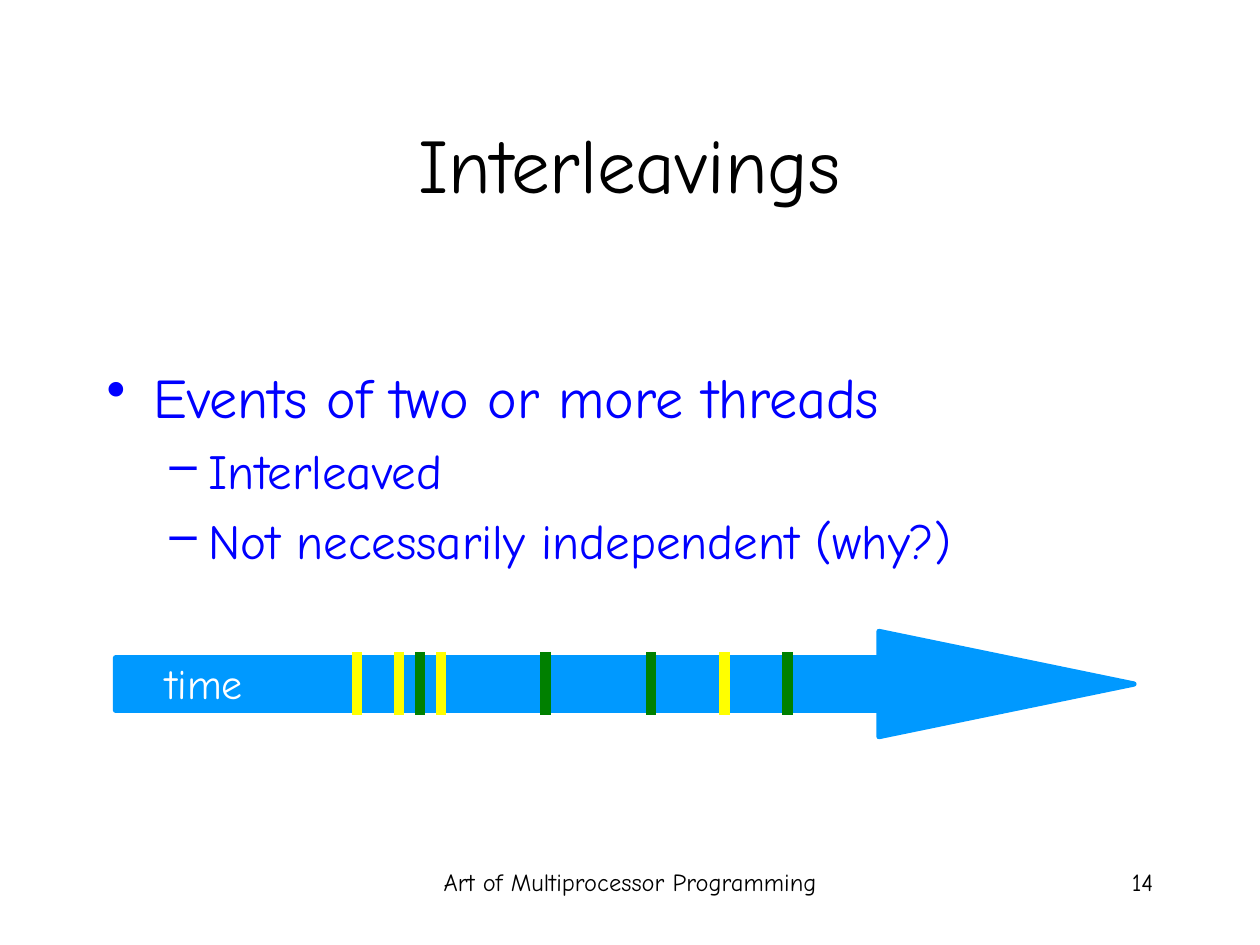
from lxml import etree
from pptx import Presentation
from pptx import util as u
from pptx.dml.color import RGBColor
from pptx.enum import shapes, text
from pptx.oxml import ns

BLACK = RGBColor(0, 0, 0)
WHITE = RGBColor(255, 255, 255)
BLUE = RGBColor(0, 0, 255)
SKY = RGBColor(0, 0x99, 255)
YELLOW = RGBColor(255, 255, 0)
GREEN = RGBColor(0, 0x80, 0)
FONT = "Comic Neue"
ALIGN = text.PP_ALIGN
ANCHOR = text.MSO_ANCHOR


def add_run(p, words, size, color):
    r = p.add_run()
    r.text = words
    for name, value in {"name": FONT, "size": u.Pt(size)}.items():
        setattr(r.font, name, value)
    r.font.color.rgb = color


def add_label(s, box, words, size, color, align, **frame):
    tf = s.shapes.add_textbox(*map(u.Cm, box)).text_frame
    for name, value in {"word_wrap": True, **frame}.items():
        setattr(tf, name, value)
    p = tf.paragraphs[0]
    p.alignment = align
    add_run(p, words, size, color)


def add_bullets(s, box, items):
    """Bulleted text; each item is (level, words)."""
    styles = [
        {"size": 32, "char": "•", "left": 0.95, "hang": 0.95},
        {"size": 28, "char": "–", "left": 2.06, "hang": 0.79},
    ]
    tf = s.shapes.add_textbox(*map(u.Cm, box)).text_frame
    tf.word_wrap = True
    for i, (level, words) in enumerate(items):
        style = styles[level]
        p = tf.paragraphs[0] if i == 0 else tf.add_paragraph()
        p.level = level
        p.space_before = u.Pt(0.23 * style["size"] if i else 0)
        pPr = p._p.get_or_add_pPr()
        pPr.set("marL", str(u.Cm(style["left"])))
        pPr.set("indent", str(-u.Cm(style["hang"])))
        etree.SubElement(pPr, ns.qn("a:buChar")).set("char", style["char"])
        add_run(p, words, style["size"], BLUE)


def add_timeline(s, box, events):
    """Time arrow with one tick per event; offsets run from the box's left."""
    left, top, width, height = box
    arrow = s.shapes.add_shape(shapes.MSO_SHAPE.RIGHT_ARROW, *map(u.Cm, box))
    arrow.shadow.inherit = False
    arrow.adjustments[0] = 0.5
    arrow.adjustments[1] = 2.425
    arrow.fill.solid()
    arrow.fill.fore_color.rgb = SKY
    arrow.line.color.rgb = SKY
    arrow.line.width = u.Pt(3)
    add_label(s, (left + 0.56, top + 0.41, 2.26, 1.27), "time", 24, WHITE,
              ALIGN.RIGHT, word_wrap=False)
    tick_top = top + 0.41
    for color, offsets in events.items():
        for offset in offsets:
            x = left + offset
            tick = s.shapes.add_connector(
                shapes.MSO_CONNECTOR.STRAIGHT,
                *map(u.Cm, (x, tick_top, x, tick_top + 1.27)))
            tick.line.color.rgb = color
            tick.line.width = u.Pt(6)
            etree.SubElement(tick._element.spPr, ns.qn("a:effectLst"))


def add_footer(s, box, words, number):
    left, top, width, height = box
    add_label(s, (left, top, 8.05, height), words, 14, BLACK, ALIGN.CENTER)
    add_label(s, (left + width - 5.29, top, 5.29, height), number, 14, BLACK,
              ALIGN.RIGHT)


prs = Presentation()
prs.slide_width, prs.slide_height = u.Cm(25.4), u.Cm(19.05)
s = prs.slides.add_slide(prs.slide_layouts[6])

# Footer and page number
add_footer(s, (8.68, 17.36, 14.82, 1.27), "Art of Multiprocessor Programming", "14")

# Title
add_label(s, (1.9, 1.69, 21.6, 3.18), "Interleavings", 44, BLACK, ALIGN.CENTER,
          vertical_anchor=ANCHOR.MIDDLE)

# Time arrow with the events of two threads
add_timeline(s, (2.33, 12.73, 20.53, 2.12), {
    YELLOW: (4.87, 5.71, 6.56, 12.28),
    GREEN: (6.14, 8.67, 10.79, 13.55),
})

# Bullets
add_bullets(s, (1.9, 7.18, 21.6, 4.6), [
    (0, "Events of two or more threads"),
    (1, "Interleaved"),
    (1, "Not necessarily independent (why?)"),
])

prs.save("out.pptx")
